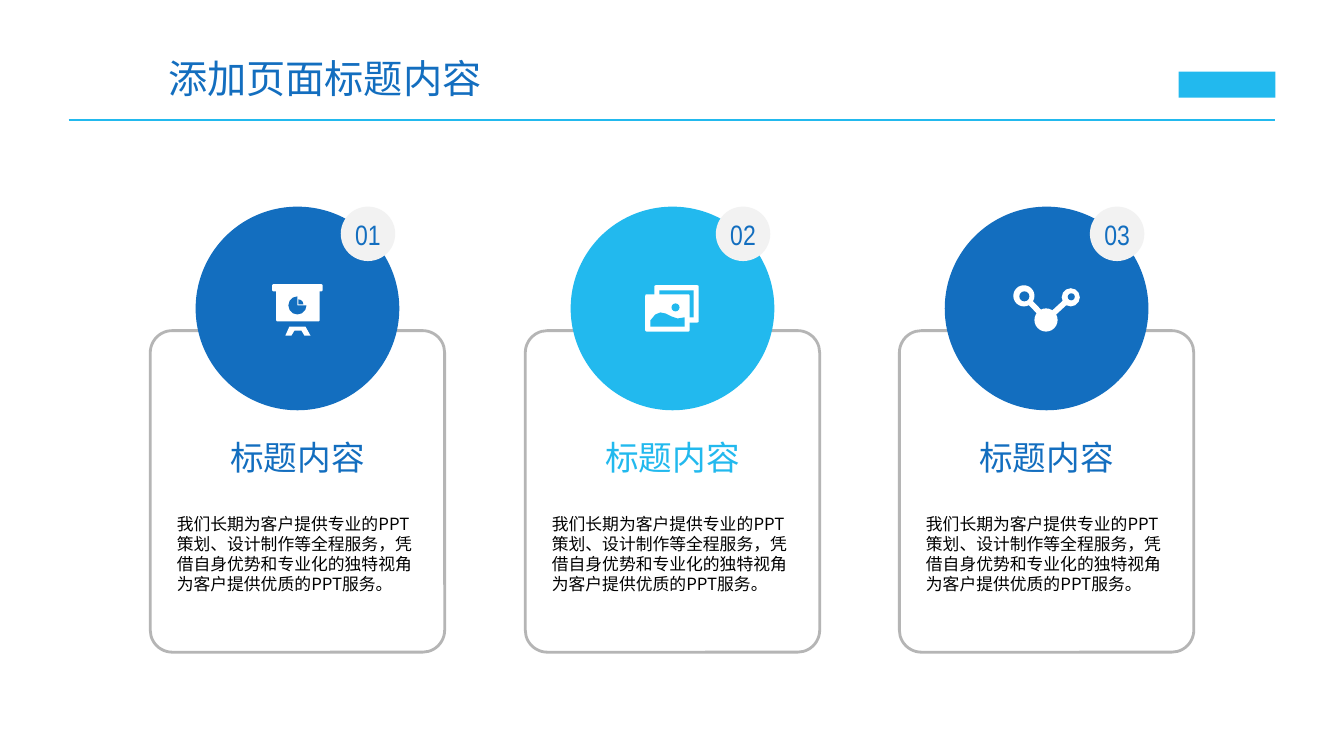
from dataclasses import dataclass

from lxml import etree
from pptx import Presentation
from pptx import util as u
from pptx.dml.color import RGBColor
from pptx.enum import shapes, text
from pptx.oxml import ns

EMU_PER_PX = 9144
KIND = shapes.MSO_SHAPE


@dataclass(frozen=True)
class Theme:
    blue: str = "136EBF"
    cyan: str = "22B9EE"
    white: str = "FFFFFF"
    black: str = "000000"
    border: str = "B5B5B5"
    badge: str = "F2F2F2"
    font: str = "Noto Sans CJK SC"
    number_font: str = "Arial Narrow"
    page_title: int = 28
    card_title: int = 24
    number: int = 20
    body: int = 12
    line: int = 2


@dataclass(frozen=True)
class Part:
    kind: KIND
    left: int
    top: int
    width: int
    height: int
    hole: bool = False
    adjustments: tuple[float, ...] = ()


@dataclass(frozen=True)
class Outline:
    points: tuple[tuple[int, int], ...]
    hole: bool = False


@dataclass(frozen=True)
class Card:
    number: str
    color: str
    icon: tuple[Part | Outline, ...]


THEME = Theme()
CARD_TITLE = "标题内容"
CARD_BODY = ("我们长期为客户提供专业的PPT策划、设计制作等全程服务，"
             "凭借自身优势和专业化的独特视角为客户提供优质的PPT服务。")
FIRST_CARD_LEFT = 149
TWO_CARD_STEPS = 743

BOARD_ICON = (
    Part(KIND.ROUNDED_RECTANGLE, 121, 282, 50, 7),
    Part(KIND.ROUNDED_RECTANGLE, 125, 286, 43, 33, adjustments=(0.04,)),
    Part(KIND.PIE, 137, 294, 18, 18, hole=True),
    Part(KIND.PIE, 142, 297, 10, 10, hole=True, adjustments=(162, 0)),
    Outline(((138, 324), (154, 324), (159, 333), (153, 333),
             (150, 328), (143, 328), (140, 333), (134, 333))),
)
PHOTO_ICON = (
    Part(KIND.ROUNDED_RECTANGLE, 128, 283, 44, 37, adjustments=(0.04,)),
    Part(KIND.RECTANGLE, 133, 288, 34, 27, hole=True),
    Part(KIND.ROUNDED_RECTANGLE, 119, 292, 44, 37, adjustments=(0.04,)),
    Part(KIND.OVAL, 145, 301, 8, 8, hole=True),
    Outline(((124, 324), (124, 318), (129, 312), (134, 310), (139, 311),
             (145, 314), (151, 316), (157, 315), (158, 315), (158, 324)), hole=True),
)
NETWORK_ICON = (
    Outline(((122, 296), (126, 292), (148, 315), (144, 319))),
    Outline(((168, 293), (172, 297), (148, 319), (144, 315))),
    Part(KIND.OVAL, 113, 283, 21, 21),
    Part(KIND.OVAL, 119, 289, 10, 10, hole=True),
    Part(KIND.OVAL, 161, 286, 18, 18),
    Part(KIND.OVAL, 167, 291, 7, 7, hole=True),
    Part(KIND.OVAL, 134, 306, 23, 23),
)
CARDS = (
    Card("01", THEME.blue, BOARD_ICON),
    Card("02", THEME.cyan, PHOTO_ICON),
    Card("03", THEME.blue, NETWORK_ICON),
)


def px(length: int) -> u.Emu:
    return u.Emu(length * EMU_PER_PX)


def paint(shape, color: str):
    shape.shadow.inherit = False
    shape.fill.solid()
    shape.fill.fore_color.rgb = RGBColor.from_string(color)
    shape.line.fill.background()
    return shape


def add_part(slide, part: Part, color: str, offset: int = 0):
    shape = slide.shapes.add_shape(part.kind, px(part.left + offset), px(part.top),
                                   px(part.width), px(part.height))
    for index, value in enumerate(part.adjustments):
        shape.adjustments[index] = value
    return paint(shape, color)


def add_outline(slide, outline: Outline, color: str, offset: int) -> None:
    points = [(x + offset, y) for x, y in outline.points]
    builder = slide.shapes.build_freeform(*points[0], scale=EMU_PER_PX)
    builder.add_line_segments(points[1:])
    paint(builder.convert_to_shape(), color)


def format_paragraph(paragraph, size: int, color: str, font: str, alignment) -> None:
    paragraph.alignment = alignment
    for run in paragraph.runs:
        run.font.size = u.Pt(size)
        run.font.name = font
        run.font.color.rgb = RGBColor.from_string(color)
        east_asian = etree.SubElement(run.font._element, ns.qn("a:ea"))
        east_asian.set("typeface", font)


def set_margins(frame, side: int, top: int) -> None:
    frame.margin_left = frame.margin_right = px(side)
    frame.margin_top, frame.margin_bottom = px(top), 0
    frame.vertical_anchor = text.MSO_ANCHOR.MIDDLE


def add_header(slide) -> None:
    rule = slide.shapes.add_connector(shapes.MSO_CONNECTOR.STRAIGHT,
                                      px(68), px(119), px(1265), px(119))
    rule.line.color.rgb = RGBColor.from_string(THEME.cyan)
    rule.line.width = u.Pt(THEME.line)
    etree.SubElement(rule._element.spPr, ns.qn("a:effectLst"))
    add_part(slide, Part(KIND.RECTANGLE, 1169, 71, 96, 26), THEME.cyan)

    title = slide.shapes.add_textbox(px(157), px(49), px(352), px(57))
    frame = title.text_frame
    frame.text = "添加页面标题内容"
    frame.word_wrap = False
    frame.auto_size = text.MSO_AUTO_SIZE.SHAPE_TO_FIT_TEXT
    frame.vertical_anchor = text.MSO_ANCHOR.MIDDLE
    format_paragraph(frame.paragraphs[0], THEME.page_title, THEME.blue,
                     THEME.font, text.PP_ALIGN.LEFT)


def add_card(slide, card: Card, left: int) -> None:
    panel = add_part(slide, Part(KIND.ROUNDED_RECTANGLE, 0, 328, 292, 319,
                                 adjustments=(0.075,)), THEME.white, left)
    panel.fill.background()
    panel.line.color.rgb = RGBColor.from_string(THEME.border)
    panel.line.width = u.Pt(THEME.line)
    frame = panel.text_frame
    frame.text = CARD_TITLE
    frame.word_wrap = True
    set_margins(frame, side=20, top=48)
    format_paragraph(frame.paragraphs[0], THEME.card_title, card.color,
                     THEME.font, text.PP_ALIGN.CENTER)
    body = frame.add_paragraph()
    body.text = CARD_BODY
    body.space_before = u.Pt(26)
    format_paragraph(body, THEME.body, THEME.black, THEME.font, text.PP_ALIGN.LEFT)

    add_part(slide, Part(KIND.OVAL, 45, 205, 202, 202), card.color, left)
    for piece in card.icon:
        color = card.color if piece.hole else THEME.white
        draw = add_part if isinstance(piece, Part) else add_outline
        draw(slide, piece, color, left)

    badge = add_part(slide, Part(KIND.OVAL, 189, 205, 54, 54), THEME.badge, left)
    badge.text_frame.text = card.number
    badge.text_frame.word_wrap = False
    set_margins(badge.text_frame, side=0, top=0)
    format_paragraph(badge.text_frame.paragraphs[0], THEME.number, THEME.blue,
                     THEME.number_font, text.PP_ALIGN.CENTER)


def main() -> None:
    presentation = Presentation()
    presentation.slide_width, presentation.slide_height = px(1333), px(750)
    slide = presentation.slides.add_slide(presentation.slide_layouts[6])
    add_header(slide)
    for index, card in enumerate(CARDS):
        add_card(slide, card, FIRST_CARD_LEFT + (index * TWO_CARD_STEPS + 1) // 2)
    presentation.save("out.pptx")


if __name__ == "__main__":
    main()
